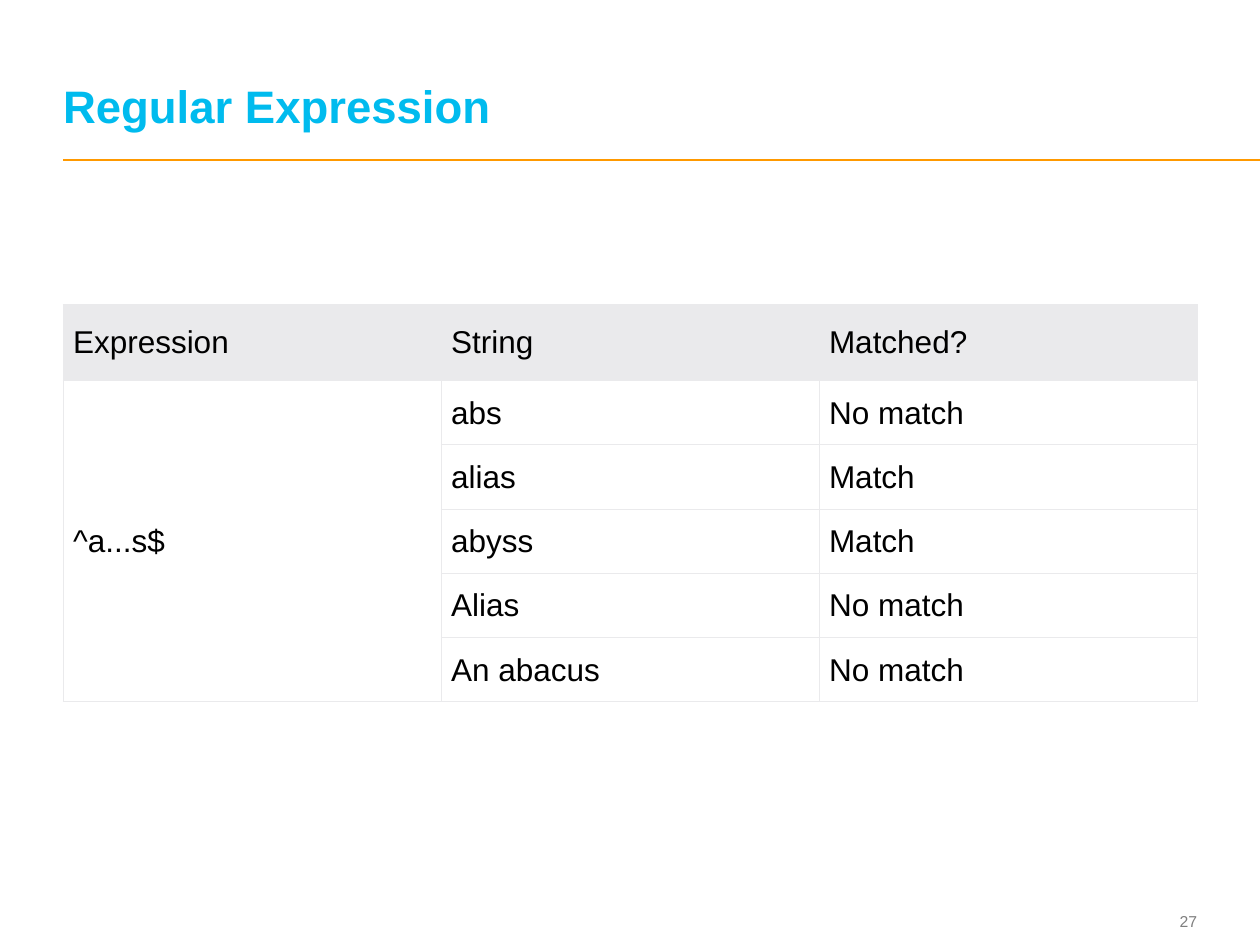
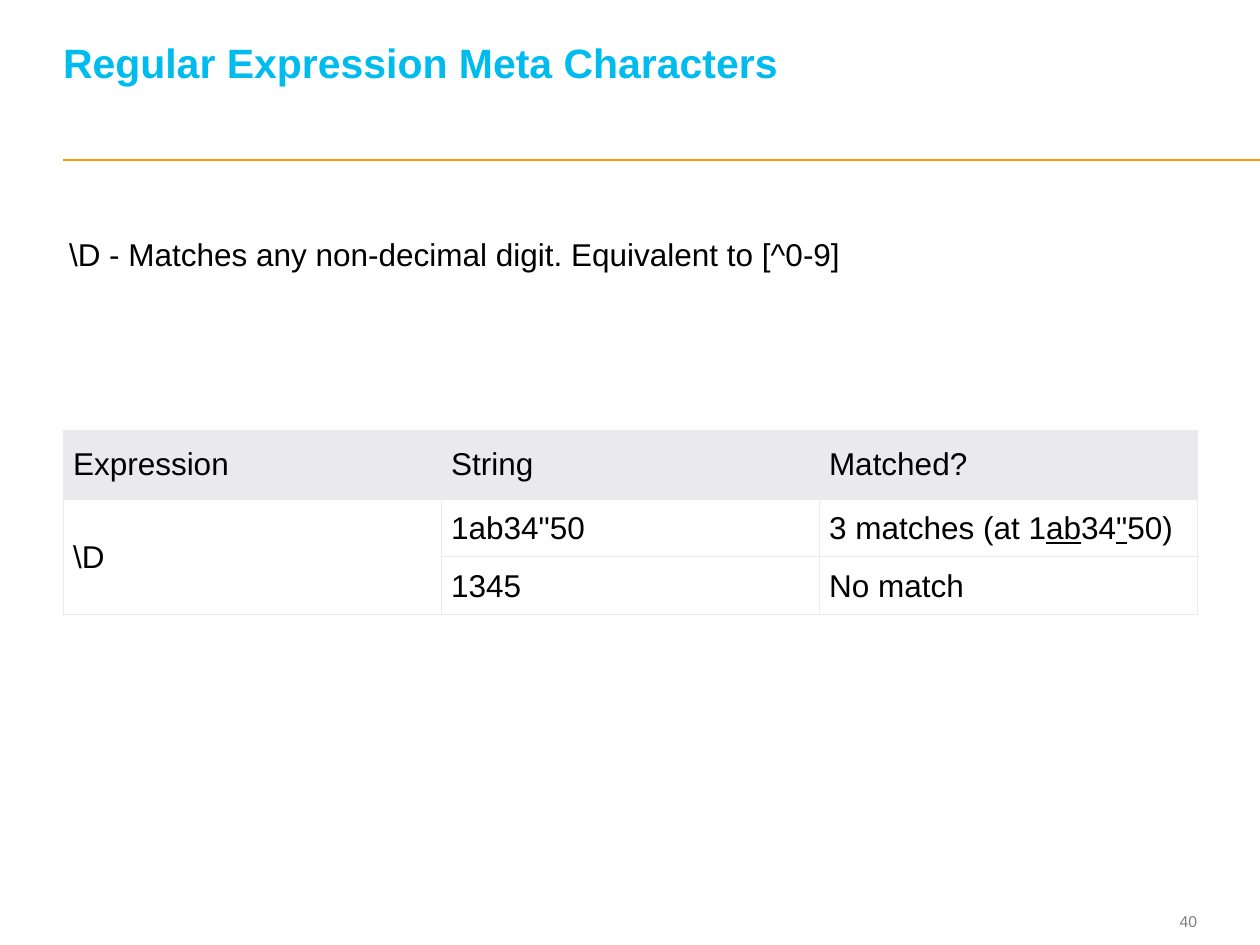
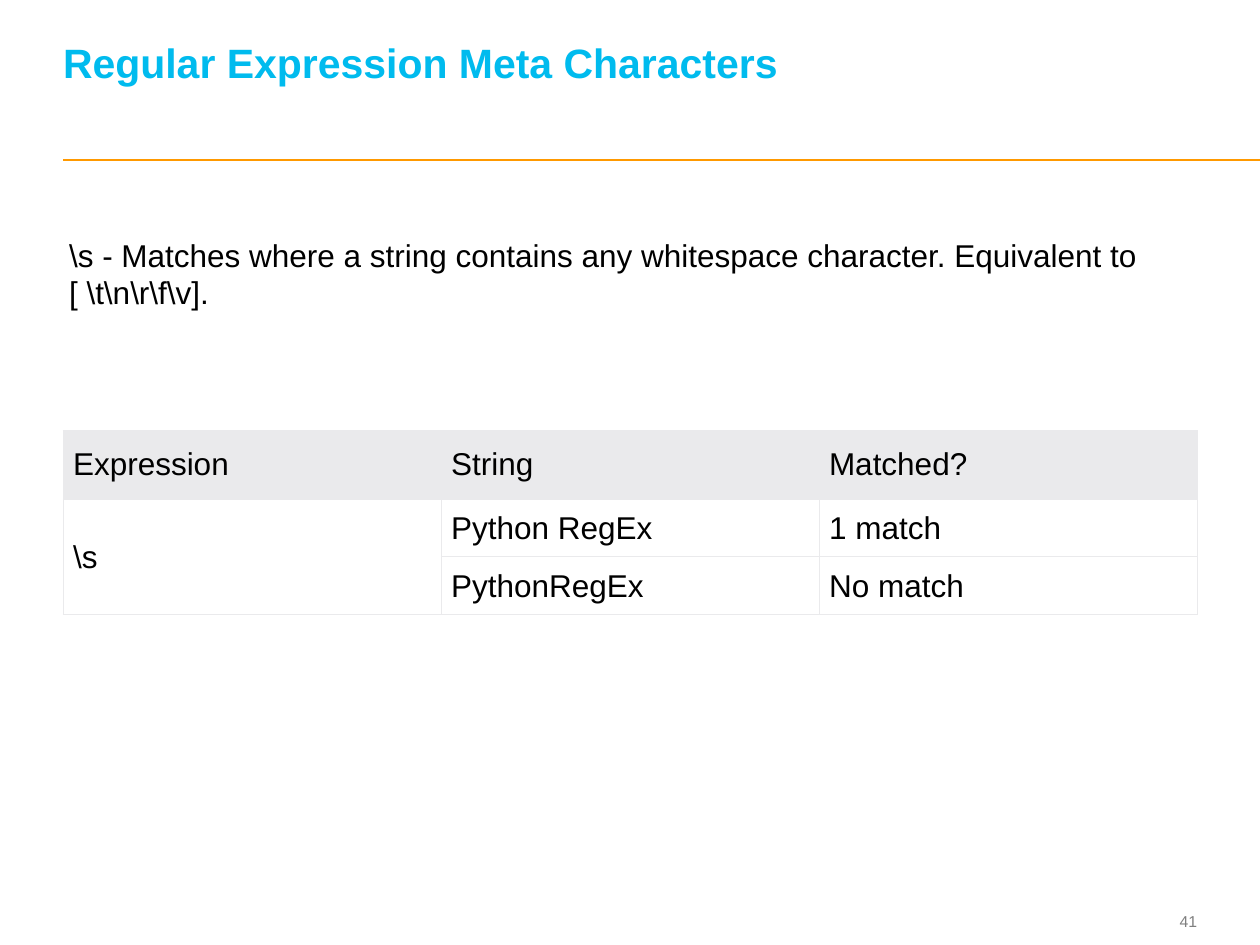
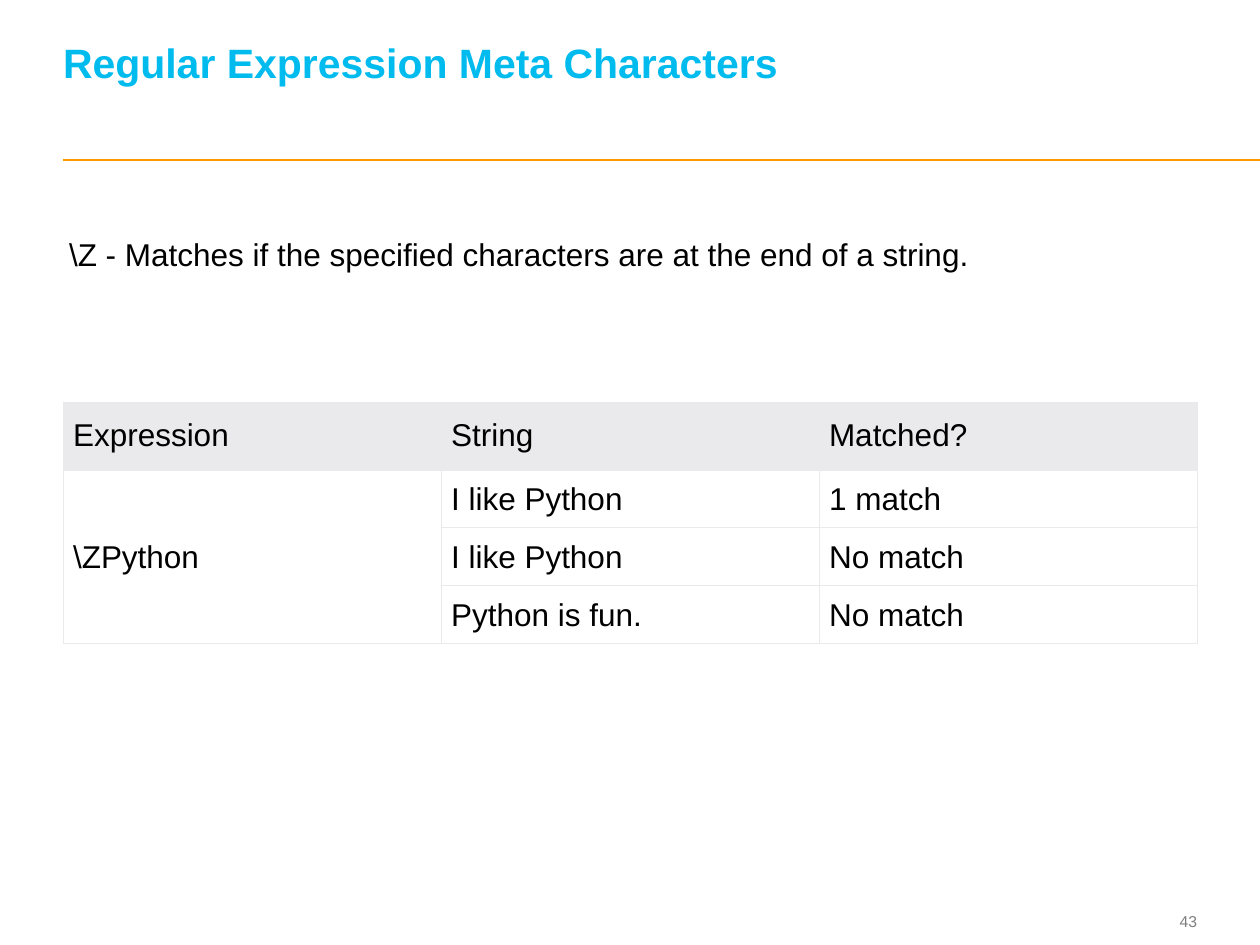
from lxml.etree import SubElement
from pptx import Presentation
from pptx.dml.color import RGBColor
from pptx.enum.shapes import MSO_CONNECTOR
from pptx.enum.text import MSO_ANCHOR, MSO_AUTO_SIZE, PP_ALIGN
from pptx.oxml.ns import qn
from pptx.util import Inches, Pt

FONT = "Arial"
TITLE_BLUE = "00BBEE"
RULE_ORANGE = "FF9900"
NUMBER_GRAY = "7F7F7F"
TABLE_GRAY = "EAEAEC"
BLACK = "000000"
WHITE = "FFFFFF"

TITLE_BOX = (0.5, 0.19, 8.97, 0.86)
NUMBER_BOX = (8.91, 7.18, 0.59, 0.27)
DESCRIPTION_BOX = (0.45, 1.82, 9.26)
TABLE_LEFT, TABLE_WIDTH = 0.5, 9
HEADINGS = ("Expression", "String", "Matched?")
META_TITLE = "Regular Expression Meta Characters"
TITLE_LINE = 26


def color(hex_string):
    return RGBColor.from_string(hex_string)


def style_font(font, size, hex_string, bold=False):
    font.name = FONT
    font.size = Pt(size)
    font.bold = bold
    font.color.rgb = color(hex_string)


def set_margins(target, left=0, top=0, right=0, bottom=0):
    target.margin_left, target.margin_top = Inches(left), Inches(top)
    target.margin_right, target.margin_bottom = Inches(right), Inches(bottom)


def add_title(slide, box, text, size, lift):
    """Fill the title placeholder, its text raised by lift inches."""
    title = slide.shapes.title
    title.left, title.top, title.width, title.height = map(Inches, box)
    frame = title.text_frame
    frame.text = text
    frame.auto_size = MSO_AUTO_SIZE.NONE
    frame.vertical_anchor = MSO_ANCHOR.BOTTOM
    set_margins(frame, bottom=lift)
    paragraph = frame.paragraphs[0]
    paragraph.alignment = PP_ALIGN.LEFT
    paragraph.line_spacing = Pt(TITLE_LINE)
    style_font(paragraph.runs[0].font, size, TITLE_BLUE, bold=True)


def add_title_rule(slide):
    rule = slide.shapes.add_connector(
        MSO_CONNECTOR.STRAIGHT, Inches(0.5), Inches(1.27), Inches(10), Inches(1.27))
    rule.line.color.rgb = color(RULE_ORANGE)
    rule.line.width = Pt(1)
    SubElement(rule.line._get_or_add_ln().getparent(), qn("a:effectLst"))


def add_page_number(slide, box, number):
    frame = slide.shapes.add_textbox(*map(Inches, box)).text_frame
    frame.text = str(number)
    frame.word_wrap = True
    frame.vertical_anchor = MSO_ANCHOR.MIDDLE
    set_margins(frame)
    paragraph = frame.paragraphs[0]
    paragraph.alignment = PP_ALIGN.RIGHT
    style_font(paragraph.runs[0].font, 9, NUMBER_GRAY)


def add_description(slide, box, text, height):
    frame = slide.shapes.add_textbox(*map(Inches, (*box, height))).text_frame
    frame.text = text
    frame.word_wrap = True
    frame.auto_size = MSO_AUTO_SIZE.SHAPE_TO_FIT_TEXT
    style_font(frame.paragraphs[0].runs[0].font, 18, BLACK)


def add_borders(cell):
    properties = cell._tc.get_or_add_tcPr()
    for side in ("lnL", "lnR", "lnT", "lnB"):
        line = SubElement(properties, qn(f"a:{side}"), w=str(Pt(0.6)))
        fill = SubElement(line, qn("a:solidFill"))
        SubElement(fill, qn("a:srgbClr"), val=TABLE_GRAY)


def fill_cell(cell, content, is_header):
    """Write a string, or a tuple of parts in which every second one is underlined."""
    add_borders(cell)
    cell.fill.solid()
    cell.fill.fore_color.rgb = color(TABLE_GRAY if is_header else WHITE)
    cell.vertical_anchor = MSO_ANCHOR.MIDDLE
    if is_header:
        set_margins(cell, 0.08, 0.12, 0.07, 0.12)
    else:
        set_margins(cell, 0.08, 0.08, 0.07, 0.07)
    parts = (content,) if isinstance(content, str) else content
    paragraph = cell.text_frame.paragraphs[0]
    for index, part in enumerate(parts):
        if not part:
            continue
        run = paragraph.add_run()
        run.text = part
        style_font(run.font, 18, BLACK)
        if index % 2:
            run.font.underline = True


def add_match_table(slide, top, expression, matches, header_height, row_height):
    """Draw the matches beside one expression cell that spans all of them."""
    rows = [HEADINGS] + [
        ("" if index else expression, *match) for index, match in enumerate(matches)]
    height = header_height + row_height * len(matches)
    table = slide.shapes.add_table(
        len(rows), len(HEADINGS), Inches(TABLE_LEFT), Inches(top),
        Inches(TABLE_WIDTH), Inches(height)).table
    table.horz_banding = False
    for row_index, row in enumerate(rows):
        table.rows[row_index].height = Inches(row_height if row_index else header_height)
        for column_index, content in enumerate(row):
            fill_cell(table.cell(row_index, column_index), content, row_index == 0)
    table.cell(1, 0).merge(table.cell(len(matches), 0))


def add_base_slide(presentation, title, number, size, lift=0):
    slide = presentation.slides.add_slide(presentation.slide_layouts[5])
    add_title_rule(slide)
    add_page_number(slide, NUMBER_BOX, number)
    add_title(slide, TITLE_BOX, title, size, lift)
    return slide


def add_meta_slide(presentation, number, description, description_height,
                   table_top, expression, matches):
    slide = add_base_slide(presentation, META_TITLE, number, 23.4, lift=0.36)
    add_description(slide, DESCRIPTION_BOX, description, description_height)
    add_match_table(slide, table_top, expression, matches, 0.54, 0.46)


def main():
    presentation = Presentation()
    presentation.slide_width, presentation.slide_height = Inches(10), Inches(7.5)

    slide = add_base_slide(presentation, "Regular Expression", 27, TITLE_LINE)
    add_match_table(slide, 2.42, "^a...s$", [
        ("abs", "No match"),
        ("alias", "Match"),
        ("abyss", "Match"),
        ("Alias", "No match"),
        ("An abacus", "No match"),
    ], 0.6, 0.51)

    add_meta_slide(
        presentation, 40,
        r"\D - Matches any non-decimal digit. Equivalent to [^0-9]", 0.4,
        3.42, r"\D", [
            ('1ab34"50', ("3 matches (at 1", "ab", "34", '"', "50)")),
            ("1345", "No match"),
        ])
    add_meta_slide(
        presentation, 41,
        r"\s - Matches where a string contains any whitespace character. "
        r"Equivalent to [ \t\n\r\f\v].", 0.71,
        3.42, r"\s", [
            ("Python RegEx", "1 match"),
            ("PythonRegEx", "No match"),
        ])
    add_meta_slide(
        presentation, 43,
        r"\Z - Matches if the specified characters are at the end of a string.", 0.4,
        3.19, r"\ZPython", [
            ("I like Python", "1 match"),
            ("I like Python", "No match"),
            ("Python is fun.", "No match"),
        ])

    presentation.save("out.pptx")


if __name__ == "__main__":
    main()
